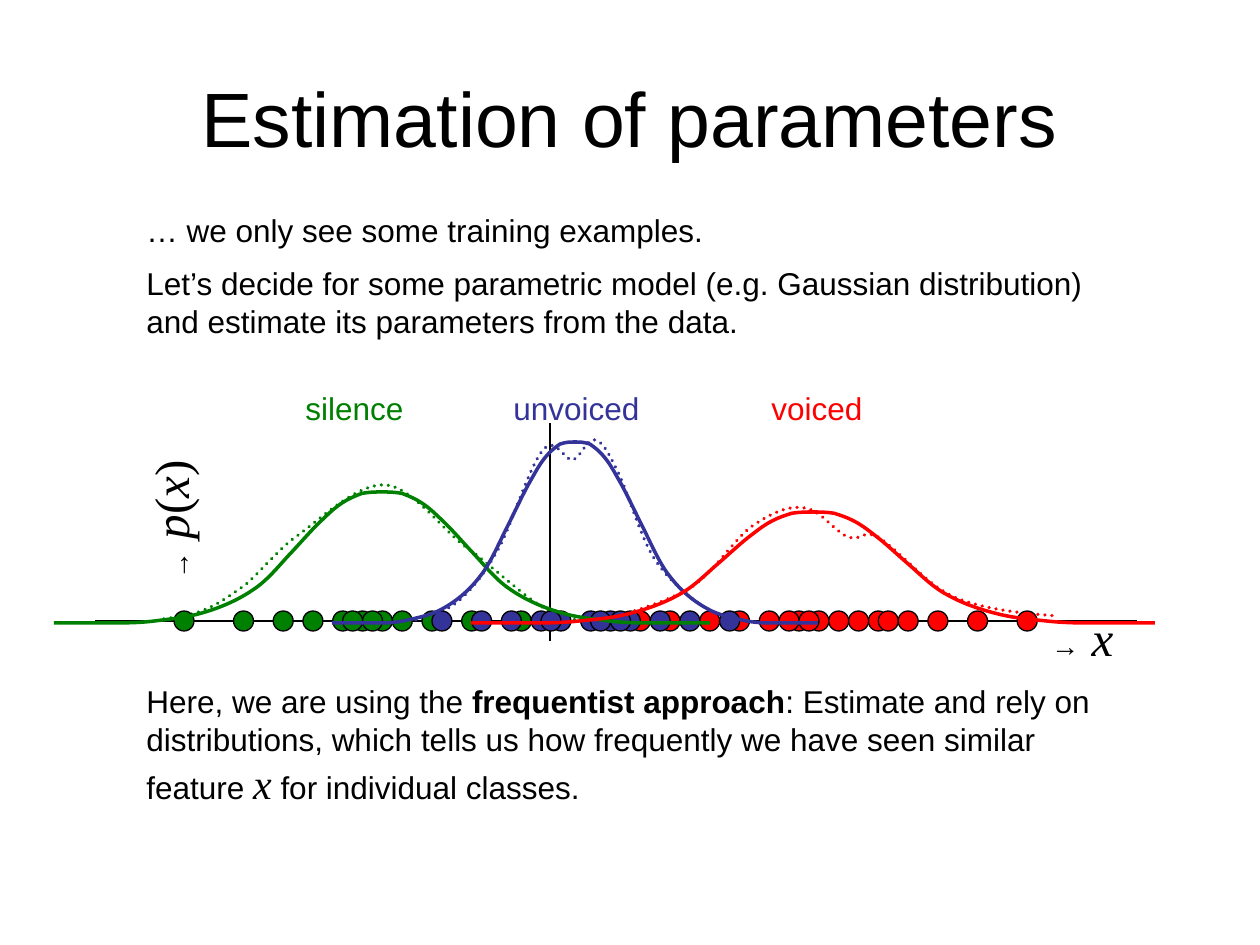
from pptx import Presentation
from pptx.dml.color import RGBColor
from pptx.enum.dml import MSO_LINE
from pptx.enum.shapes import MSO_CONNECTOR, MSO_SHAPE
from pptx.enum.text import MSO_ANCHOR, MSO_AUTO_SIZE, PP_ALIGN
from pptx.oxml.ns import qn
from pptx.util import Pt
from lxml import etree

PX = 914400 // 126
DOT = MSO_SHAPE.FLOWCHART_CONNECTOR
LINE = MSO_CONNECTOR.STRAIGHT
DOTTED = MSO_LINE.ROUND_DOT
THEME = {
    "sans": "Arial", "serif": "Times New Roman",
    "black": "000000", "silence": "008000", "unvoiced": "333399", "voiced": "FF0000",
    "title": 44, "body": 18, "inline": 24, "arrow": 16, "symbol": 28,
    "curve": 2, "thin": 0.75, "paragraph_gap": 8.7, "diagram_gap": 195.4,
}

TITLE = "Estimation of parameters"
# Runs are (text, font, size, style)
BODY = [
    [("… we only see some training examples.", "sans", "body", "")],
    [("Let’s decide for some parametric model (e.g. Gaussian distribution) "
      "and estimate its parameters from the data.", "sans", "body", "")],
    [("Here, we are using the ", "sans", "body", ""),
     ("frequentist approach", "sans", "body", "b"),
     (": Estimate and rely on distributions, which tells us how frequently "
      "we have seen similar feature ", "sans", "body", ""),
     ("x", "serif", "inline", "i"),
     (" for individual classes.", "sans", "body", "")],
]
ARROW = ("→", "serif", "arrow", "")
X_LABEL = [ARROW, (" x", "serif", "symbol", "i")]
P_LABEL = [ARROW, (" p", "serif", "symbol", "i"), ("(", "serif", "symbol", ""),
           ("x", "serif", "symbol", "i"), (")", "serif", "symbol", "")]

X_AXIS = (95, 621, 1137, 621)
Y_AXIS = (550, 641, 550, 423)
LABELS = {"unvoiced": (501, 179), "voiced": (759, 129), "silence": (293, 139)}

# Training examples sit on a regular grid along the x axis
SAMPLE_LEFT, SAMPLE_TOP, SAMPLE_SIZE, SAMPLE_STEP = 174, 611, 20, 9.92
SAMPLES = {
    "voiced": [46, 49, 53, 56, 62, 61, 64, 59, 66, 70, 71, 73, 76, 80, 85, 68, 63],
    "silence": [18, 20, 34, 29, 25, 22, 16, 13, 10, 6, 0, 19, 17],
    "unvoiced": [36, 38, 41, 43, 45, 48, 51, 55, 33, 30, 26, 37, 42, 44],
}

# Bezier chains: a start point, then two controls and an end for each piece
TRUE_CURVES = {
    "unvoiced": [
        (402, 619), (408, 620), (415, 621), (423, 619), (433, 615), (449, 610), (461, 599),
        (474, 587), (485, 573), (499, 548), (512, 524), (530, 465), (543, 450),
        (556, 435), (564, 461), (573, 460), (581, 457), (588, 437), (595, 440),
        (602, 441), (607, 450), (617, 470), (627, 489), (640, 536), (654, 558),
        (669, 582), (692, 599), (707, 609), (722, 619), (733, 619), (743, 619)],
    "voiced": [
        (587, 616), (593, 619), (600, 621), (617, 616), (635, 611), (669, 601), (692, 587),
        (714, 572), (733, 541), (751, 527), (770, 514), (788, 505), (804, 508),
        (820, 509), (835, 532), (848, 537), (861, 542), (863, 529), (878, 537),
        (893, 546), (920, 575), (937, 587), (955, 599), (963, 601), (982, 606),
        (1002, 611), (1029, 614), (1057, 616)],
    "silence": [
        (164, 619), (176, 617), (190, 616), (204, 610), (217, 605), (228, 597), (244, 586),
        (260, 573), (275, 552), (297, 536), (321, 519), (357, 483), (386, 485),
        (415, 488), (446, 536), (473, 552), (499, 573), (529, 600), (547, 610),
        (564, 621), (572, 620), (580, 619)],
}
# Rising half of a Gaussian, in thousandths of its half width and height
HALF_BELL = [
    (0, 0), (46, 0), (92, 0), (123, 0), (154, 0), (154, -5), (185, 0),
    (212, 0), (258, 0), (304, 14), (350, 29), (404, 40), (454, 78),
    (508, 117), (562, 175), (608, 255), (654, 330), (692, 456), (727, 546),
    (762, 641), (792, 728), (819, 790), (846, 854), (858, 883), (881, 920),
    (900, 951), (919, 970), (938, 988), (962, 1000), (981, 1000), (1000, 1000)]
# Class: (mean, half width, base, height)
GAUSSIANS = {"silence": (382, 328, 623, 131), "unvoiced": (575, 243, 623, 181),
             "voiced": (813, 342, 623, 111)}


def px(*values):
    return [round(v * PX) for v in values]


def color(name):
    return RGBColor.from_string(THEME[name])


def style_line(line, name, weight):
    line.color.rgb = color(name)
    line.width = Pt(THEME[weight])


def add_axis(s, ends):
    axis = s.shapes.add_connector(LINE, *px(*ends))
    style_line(axis.line, "black", "thin")
    etree.SubElement(axis.element.spPr, qn("a:effectLst"))


def bend(sp):
    """Turn each three line segments of a freeform into one cubic Bezier."""
    segments = list(sp.element.iter(qn("a:lnTo")))
    for i in range(0, len(segments), 3):
        cubic = etree.Element(qn("a:cubicBezTo"))
        segments[i].addprevious(cubic)
        for segment in segments[i:i + 3]:
            cubic.append(segment[0])
            segment.getparent().remove(segment)


def add_curve(s, chain, name, dotted=False):
    points = [px(*pt) for pt in chain]
    builder = s.shapes.build_freeform(*points[0], scale=1.0)
    builder.add_line_segments(points[1:], close=False)
    curve = builder.convert_to_shape()
    bend(curve)
    curve.shadow.inherit = False
    curve.fill.background()
    style_line(curve.line, name, "curve")
    if dotted:
        curve.line.dash_style = DOTTED
        curve.element.spPr.find(qn("a:ln")).set("cap", "rnd")


def add_runs(p, runs, name):
    for text, font, size, style in runs:
        r = p.add_run()
        r.text = text
        r.font.name, r.font.size = THEME[font], Pt(THEME[size])
        r.font.bold, r.font.italic = "b" in style, "i" in style
        r.font.color.rgb = color(name)


def add_text(s, box, paragraphs, name="black", gaps=()):
    sp = s.shapes.add_textbox(*px(*box))
    tf = sp.text_frame
    tf.word_wrap = True
    for i, runs in enumerate(paragraphs):
        p = tf.add_paragraph() if i else tf.paragraphs[0]
        if i:
            p.space_before = Pt(THEME[gaps[i - 1]])
        add_runs(p, runs, name)
    return sp


def add_title(s):
    sp = s.shapes.title
    sp.left, sp.top, sp.width, sp.height = px(63, 38, 1134, 157)
    tf = sp.text_frame
    tf.auto_size = MSO_AUTO_SIZE.NONE
    tf.vertical_anchor = MSO_ANCHOR.MIDDLE
    p = tf.paragraphs[0]
    p.alignment = PP_ALIGN.CENTER
    add_runs(p, [(TITLE, "sans", "title", "")], "black")


def add_diagram(s):
    add_axis(s, X_AXIS)
    for name, chain in TRUE_CURVES.items():
        add_curve(s, chain, name, dotted=True)
    add_axis(s, Y_AXIS)
    for name, (left, width) in LABELS.items():
        add_text(s, (left, 383, width, 50), [[(name, "sans", "body", "")]], name)
    for name, slots in SAMPLES.items():
        for slot in slots:
            left = SAMPLE_LEFT + slot * SAMPLE_STEP
            sp = s.shapes.add_shape(DOT, *px(left, SAMPLE_TOP, SAMPLE_SIZE, SAMPLE_SIZE))
            sp.shadow.inherit = False
            sp.fill.solid()
            sp.fill.fore_color.rgb = color(name)
            style_line(sp.line, "black", "thin")
    for name, (mean, half_width, base, height) in GAUSSIANS.items():
        for side in (-1, 1):
            add_curve(s, [(mean + side * half_width * (1 - u / 1000), base - height * v / 1000)
                          for u, v in HALF_BELL], name)


def main():
    prs = Presentation()
    prs.slide_width, prs.slide_height = px(1260, 945)
    s = prs.slides.add_slide(prs.slide_layouts[5])
    add_title(s)
    add_diagram(s)
    add_text(s, (134, 205, 983, 636), BODY, gaps=("paragraph_gap", "diagram_gap"))
    add_text(s, (1039, 601, 118, 72), [X_LABEL])
    add_text(s, (61, 447, 218, 72), [P_LABEL]).rotation = 270
    prs.save("out.pptx")


if __name__ == "__main__":
    main()
